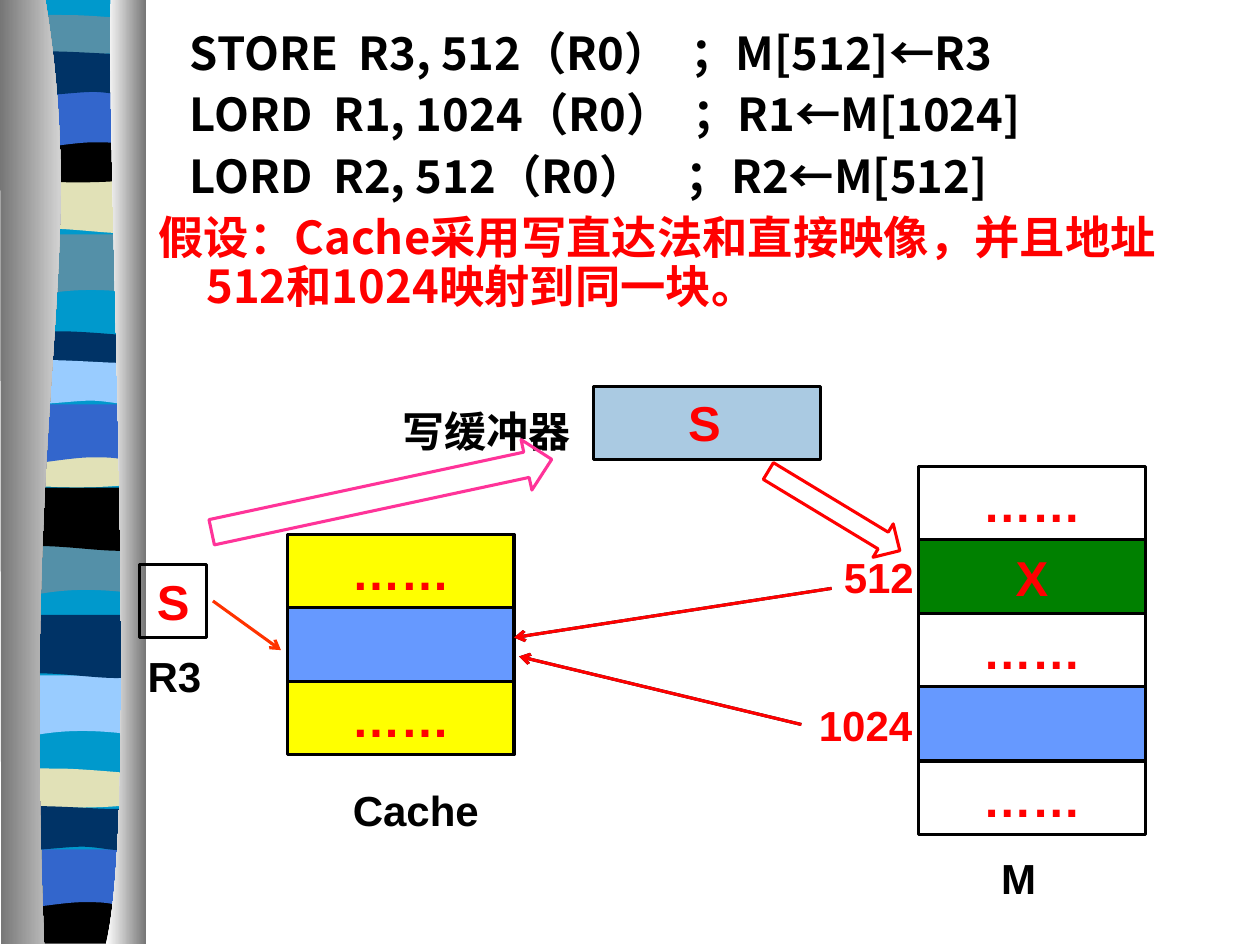
from lxml import etree
from pptx import Presentation
from pptx.dml.color import RGBColor
from pptx.enum.shapes import MSO_CONNECTOR, MSO_SHAPE
from pptx.enum.text import MSO_ANCHOR, PP_ALIGN
from pptx.oxml.ns import qn
from pptx.util import Pt

RECT, ARROW = MSO_SHAPE.RECTANGLE, MSO_SHAPE.RIGHT_ARROW
LINE = MSO_CONNECTOR.STRAIGHT
MID, TOP = MSO_ANCHOR.MIDDLE, MSO_ANCHOR.TOP
MIDST, LEFT = PP_ALIGN.CENTER, PP_ALIGN.LEFT

PX = 9144  # 100 px to the inch
LATIN, CJK = "Arial", "Noto Sans CJK SC"
DOTS = "……"

BLACK = RGBColor(0x00, 0x00, 0x00)
WHITE = RGBColor(0xFF, 0xFF, 0xFF)
GRAY = RGBColor(0x76, 0x76, 0x76)
RED = RGBColor(0xFF, 0x00, 0x00)
FLAME = RGBColor(0xFF, 0x33, 0x00)
PINK = RGBColor(0xFF, 0x33, 0x99)
YELLOW = RGBColor(0xFF, 0xFF, 0x00)
GREEN = RGBColor(0x00, 0x80, 0x00)
BLOCK = RGBColor(0x66, 0x99, 0xFF)
PALE = RGBColor(0xAA, 0xCA, 0xE2)
CYAN = RGBColor(0x00, 0x99, 0xCC)
TEAL = RGBColor(0x54, 0x90, 0xA8)
SAND = RGBColor(0xE1, 0xE1, 0xB7)
ROYAL = RGBColor(0x33, 0x66, 0xCC)
NAVY = RGBColor(0x00, 0x33, 0x66)
SKY = RGBColor(0x99, 0xCC, 0xFF)

# Wave outlines from their top left: two numbers a line, six a curve
DIP = [(100, 0), (100, 47), (31, 38, 17, 54, 0, 47), (0, 0)]
SWAY = [(99, 0), (99, 48), (83, 55, 30, 42, 0, 48), (0, 0)]
HUMP = [(99, 0), (99, 24), (83, 28, 16, 28, 0, 24), (0, 0),
        (6, -5, 21, -4, 38, -4), (55, -4, 86, -1, 99, 0)]
SAG = [(100, 0), (100, 33), (83, 38, 17, 38, 0, 33), (0, 0),
       (61, 5, 79, 0, 100, 0)]
FOOT = [(100, 0), (100, 37), (1, 37), (0, 0), (61, 5, 79, 0, 100, 0)]
ARCH = [(100, 0), (100, 48), (85, 42, 78, 42, 62, 42),
        (45, 42, 16, 48, 0, 48), (0, 0)]
SLAB = [(99, 0), (99, 30), (93, 36, 77, 30, 61, 30),
        (44, 30, 10, 36, 0, 30), (0, 0), (14, -5, 67, 0, 84, 0),
        (100, 0, 96, 0, 99, 0)]
BASE = [(99, 0), (99, 747), (0, 747), (0, 0)]
INNER = [(36, 0), (71, 216, 17, 296, 35, 749), (1, 749), (0, 0)]
OUTER = [(4, 0), (0, 126, 27, 647, 0, 749), (32, 749), (32, 0)]

BANDS = [
    (BASE, 13, 0, CYAN),
    (DIP, 12, 186, TEAL), (SWAY, 16, 135, SAND), (HUMP, 16, 16, TEAL),
    (SAG, 12, 108, BLACK), (ARCH, 12, 71, ROYAL), (SLAB, 13, 43, NAVY),
    (DIP, 8, 424, TEAL), (SWAY, 11, 387, BLACK), (HUMP, 11, 267, NAVY),
    (SAG, 11, 350, SAND), (ARCH, 11, 321, ROYAL), (SLAB, 11, 288, SKY),
    (DIP, 5, 536, SKY), (SWAY, 9, 488, NAVY), (HUMP, 8, 614, SAND),
    (FOOT, 8, 712, BLACK), (ARCH, 4, 674, ROYAL), (SLAB, 4, 642, NAVY),
]

CODE = [
    "STORE  R3, 512（R0）  ；M[512]←R3",
    "LORD  R1, 1024（R0）  ；R1←M[1024]",
    "LORD  R2, 512（R0）    ；R2←M[512]",
]
NOTE = "假设：Cache采用写直达法和直接映像，并且地址512和1024映射到同一块。"


def bend(shape, steps):
    """Join the three lines of each six-number step into one curve."""
    lines = iter(shape._element.findall(".//" + qn("a:lnTo")))
    for step in steps:
        parts = [next(lines) for _ in range(len(step) // 2)]
        if len(parts) == 1:
            continue
        curve = etree.Element(qn("a:cubicBezTo"))
        parts[0].addprevious(curve)
        for part in parts:
            curve.append(part[0])
            part.getparent().remove(part)


def add_band(slide, path, x, y, *tints):
    pts = [((x + u) * PX, (y + v) * PX) for step in path
           for u, v in zip(step[::2], step[1::2])]
    pen = slide.shapes.build_freeform(*pts[0], scale=1.0)
    pen.add_line_segments(pts[1:], close=True)
    band = pen.convert_to_shape()
    bend(band, path[1:])
    band.shadow.inherit = False
    band.line.fill.background()
    if len(tints) == 1:
        band.fill.solid()
        band.fill.fore_color.rgb = tints[0]
        return
    band.fill.gradient()
    band.fill.gradient_angle = 0
    for stop, tint in zip(band.fill.gradient_stops, tints):
        stop.color.rgb = tint


def style(para, size, color, face=LATIN, align=MIDST):
    para.alignment = align
    for run in para.runs:
        font = run.font
        font.size, font.bold, font.name = Pt(size), True, face
        font.color.rgb = color
        east = etree.SubElement(run._r.get_or_add_rPr(), qn("a:ea"))
        east.set("typeface", CJK)


def add_label(slide, text, x, y, w, h=50, color=BLACK, size=24):
    box = slide.shapes.add_textbox(x * PX, y * PX, w * PX, h * PX)
    frame = box.text_frame
    frame.word_wrap = True
    frame.text = text
    style(frame.paragraphs[0], size, color)


def add_shape(slide, kind, x, y, w, h, edge=BLACK, fill=None):
    shape = slide.shapes.add_shape(kind, x * PX, y * PX, w * PX, h * PX)
    shape.shadow.inherit = False
    shape.line.color.rgb = edge
    shape.line.width = Pt(1.75)
    if fill is None:
        shape.fill.background()
    else:
        shape.fill.solid()
        shape.fill.fore_color.rgb = fill
    return shape


def add_cell(slide, x, y, w, h, fill=None, text=""):
    frame = add_shape(slide, RECT, x, y, w, h, fill=fill).text_frame
    frame.vertical_anchor = MID
    if text:
        frame.text = text
        style(frame.paragraphs[0], 28, RED)


def add_stack(slide, x, y, cells):
    for i, (fill, text) in enumerate(cells):
        add_cell(slide, x, y + i * 117 // 2, 180, 58 + i % 2, fill, text)


def add_block(slide, x, y, w, h, turn, edge):
    shape = add_shape(slide, ARROW, x, y, w, h, edge)
    shape.rotation = turn


def add_arrow(slide, x1, y1, x2, y2, color):
    line = slide.shapes.add_connector(LINE, x1 * PX, y1 * PX, x2 * PX, y2 * PX)
    line.line.color.rgb = color
    line.line.width = Pt(1.75)
    tail = etree.SubElement(line.line._get_or_add_ln(), qn("a:tailEnd"))
    tail.set("type", "arrow")
    etree.SubElement(line._element.spPr, qn("a:effectLst"))


def add_body(slide):
    box = slide.shapes.add_textbox(116 * PX, 20 * PX, 866 * PX, 255 * PX)
    frame = box.text_frame
    frame.word_wrap = True
    frame.vertical_anchor = TOP
    for i, text in enumerate(CODE + [NOTE]):
        para = frame.add_paragraph() if i else frame.paragraphs[0]
        para.text = text
        para.line_spacing = 0.9
        if i:
            para.space_before = Pt(7)
        note = text == NOTE
        props = para._p.get_or_add_pPr()
        props.set("marL", str((38 if note else 25) * PX))
        props.set("indent", str((-38 if note else 0) * PX))
        style(para, 25.9, RED if note else BLACK, CJK, LEFT)


def main():
    deck = Presentation()
    deck.slide_width, deck.slide_height = 1000 * PX, 750 * PX
    slide = deck.slides.add_slide(deck.slide_layouts[6])

    # Striped ribbon between two shaded columns
    for band in BANDS:
        add_band(slide, *band)
    add_band(slide, INNER, 0, 0, GRAY, WHITE)
    add_band(slide, OUTER, 84, 0, WHITE, GRAY)

    # Instructions and assumption
    add_body(slide)

    # Cache, memory, register and write buffer
    add_stack(slide, 228, 424, [(YELLOW, DOTS), (BLOCK, ""), (YELLOW, DOTS)])
    add_stack(slide, 729, 370, [(None, DOTS), (GREEN, "X"), (None, DOTS),
                                (BLOCK, ""), (None, DOTS)])
    add_cell(slide, 111, 448, 53, 58, text="S")
    add_cell(slide, 471, 307, 180, 58, PALE)

    # Names and addresses
    add_label(slide, "R3", 97, 511, 83)
    add_label(slide, "Cache", 262, 618, 136)
    add_label(slide, "M", 767, 672, 83)
    add_label(slide, "写缓冲器", 291, 317, 190)
    add_label(slide, "512", 656, 433, 83, color=RED)
    add_label(slide, "1024", 636, 550, 102, color=RED)
    add_label(slide, "S", 515, 307, 88, 57, RED, 28)

    # Data flow, the address arrows with a dark rim
    add_arrow(slide, 169, 477, 223, 516, FLAME)
    for color in (BLACK, RED):
        add_arrow(slide, 636, 575, 412, 521, color)
        add_arrow(slide, 660, 467, 408, 506, color)
    add_block(slide, 165, 373, 276, 41, -12.1, PINK)
    add_block(slide, 601, 390, 122, 31, 31.2, RED)

    deck.save("out.pptx")


if __name__ == "__main__":
    main()
